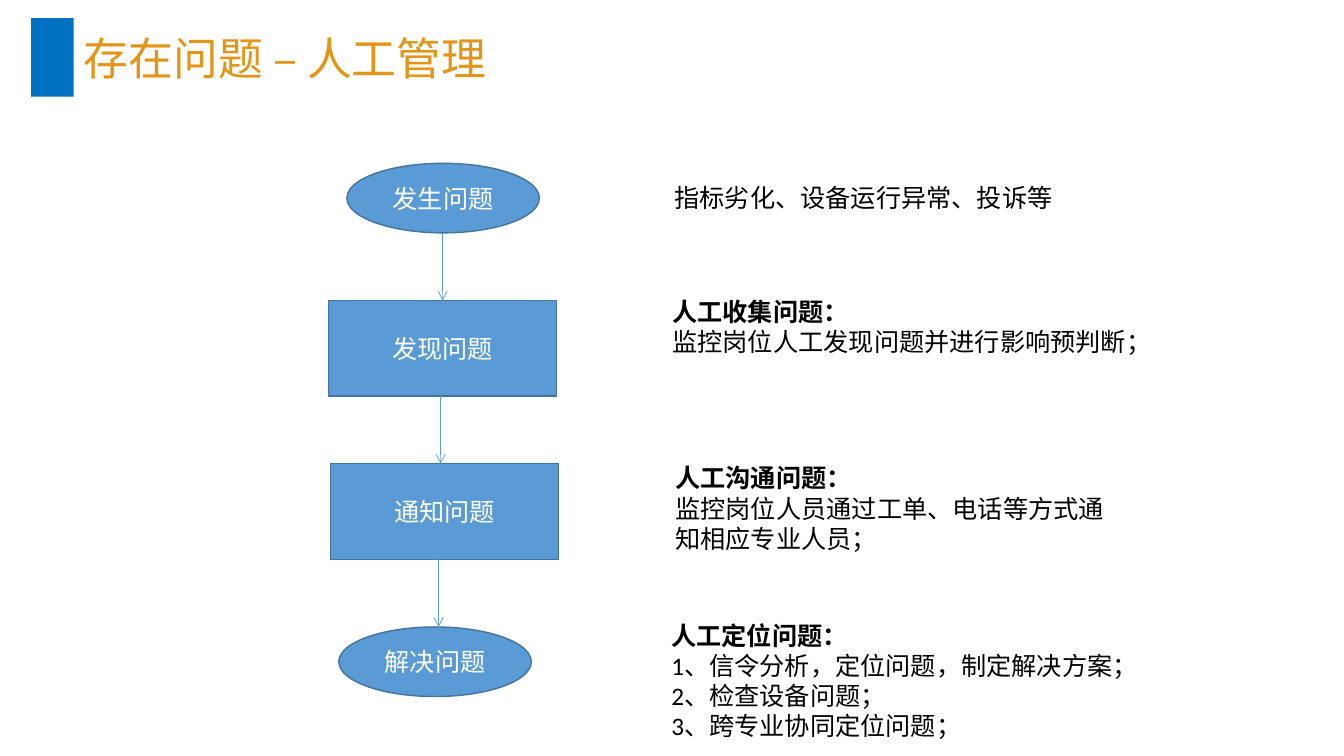
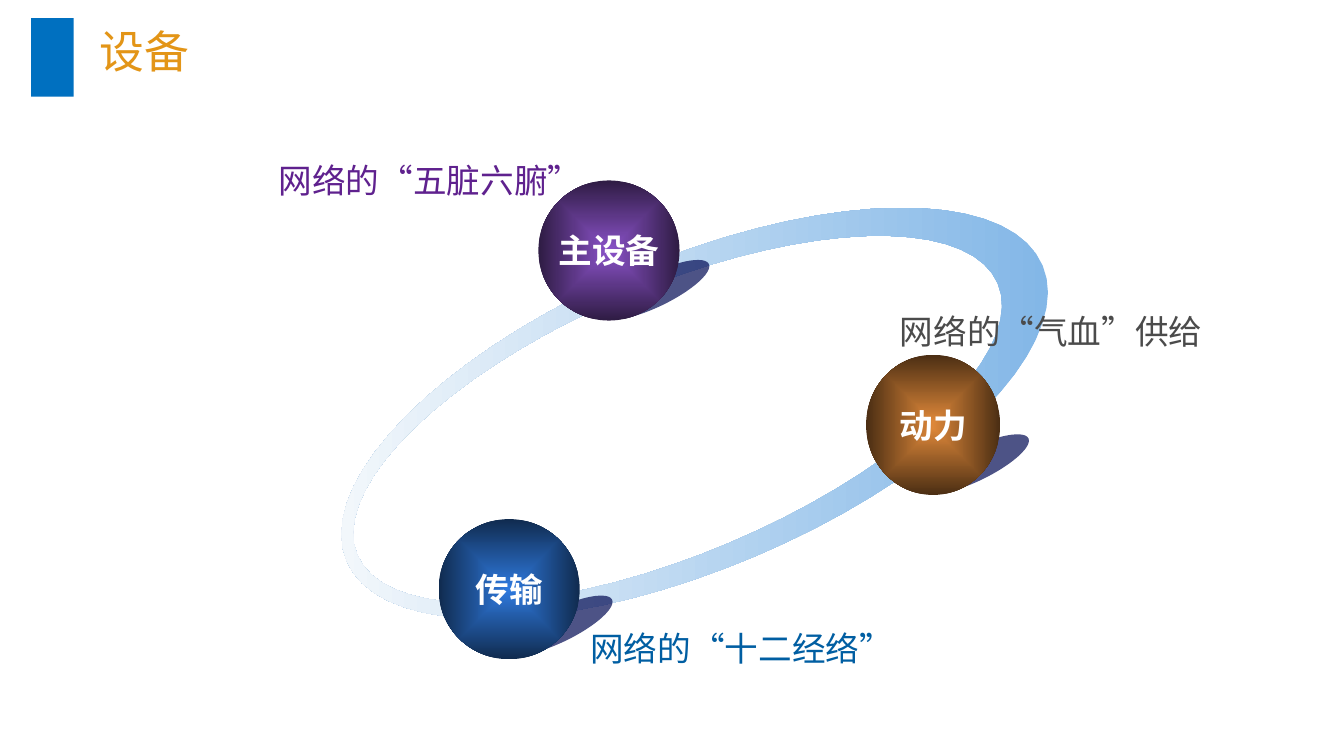
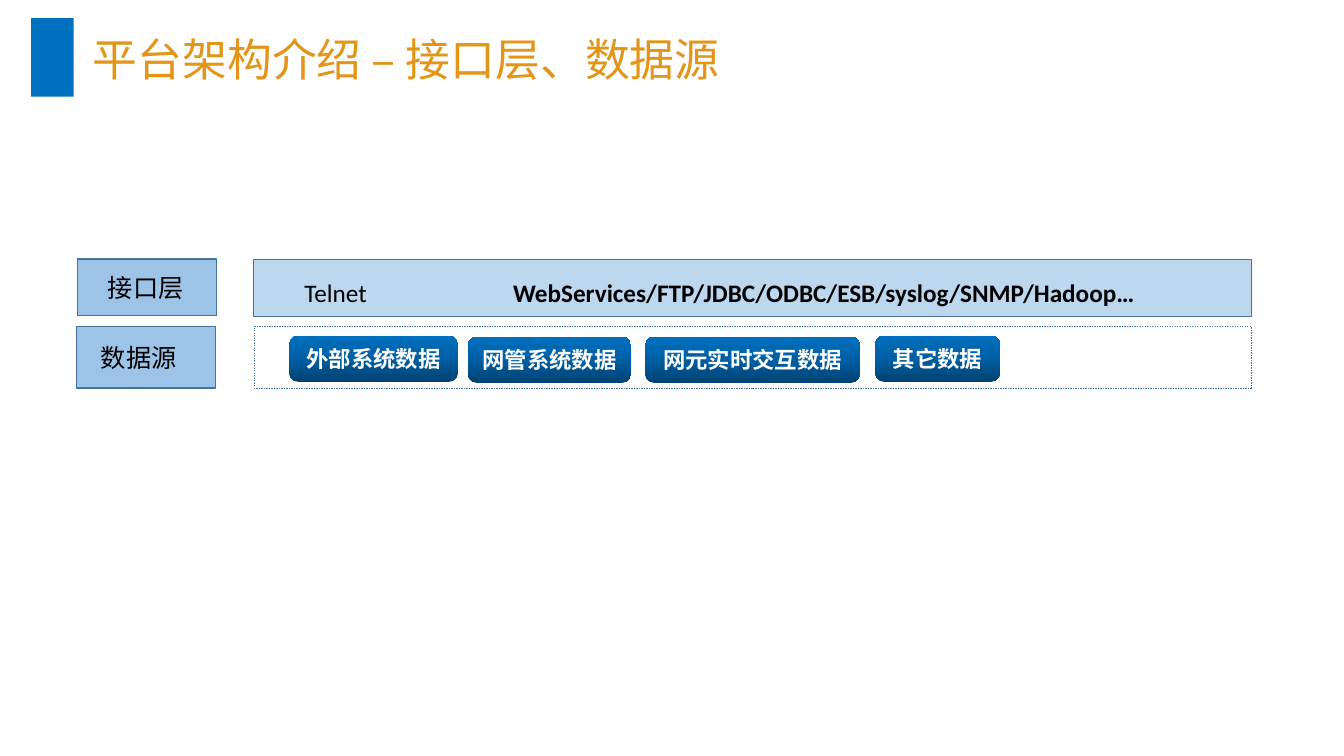
from math import cos, pi, radians, sin

from lxml import etree
from pptx import Presentation
from pptx.dml.color import RGBColor
from pptx.enum.dml import MSO_LINE
from pptx.enum.shapes import MSO_CONNECTOR, MSO_SHAPE
from pptx.enum.text import MSO_ANCHOR, MSO_AUTO_SIZE, PP_ALIGN
from pptx.oxml.ns import qn
from pptx.util import Inches, Pt

RECT, OVAL, ROUND = MSO_SHAPE.RECTANGLE, MSO_SHAPE.OVAL, MSO_SHAPE.ROUNDED_RECTANGLE
STRAIGHT, DASH = MSO_CONNECTOR.STRAIGHT, MSO_LINE.DASH
LEFT, CENTER = PP_ALIGN.LEFT, PP_ALIGN.CENTER
TOP, MIDDLE = MSO_ANCHOR.TOP, MSO_ANCHOR.MIDDLE
FIXED, GROW = MSO_AUTO_SIZE.NONE, MSO_AUTO_SIZE.SHAPE_TO_FIT_TEXT

BODY, HAN, SANS = "Calibri", "Noto Sans CJK SC", "DejaVu Sans"
BLACK = RGBColor(0x00, 0x00, 0x00)
WHITE = RGBColor(0xFF, 0xFF, 0xFF)
ICE = RGBColor(0xDE, 0xEB, 0xF7)
GOLD = RGBColor(0xE3, 0x95, 0x17)
BLUE = RGBColor(0x00, 0x70, 0xC0)
DEEP = RGBColor(0x00, 0x5E, 0xA2)
NAVY = RGBColor(0x00, 0x42, 0x72)
STEEL = RGBColor(0x5B, 0x9B, 0xD5)
EDGE = RGBColor(0x43, 0x73, 0x9E)
SKY = RGBColor(0x9D, 0xC3, 0xE6)
PALE = RGBColor(0xBD, 0xD7, 0xEE)
SHADE = RGBColor(0x02, 0x0A, 0x53)
RING = (RGBColor(0x83, 0xB7, 0xE7), RGBColor(0xF2, 0xF7, 0xFB))
VIOLET = (RGBColor(0x8A, 0x52, 0xC8), RGBColor(0x2F, 0x1C, 0x44))
AZURE = (RGBColor(0x2F, 0x7A, 0xDF), RGBColor(0x10, 0x2B, 0x4F))
AMBER = (RGBColor(0xDD, 0x87, 0x39), RGBColor(0x4B, 0x2E, 0x13))
PLUM = (RGBColor(0x43, 0x17, 0x64), RGBColor(0x5F, 0x21, 0x8E), RGBColor(0x71, 0x28, 0xA8))
GRAY = (RGBColor(0x35, 0x35, 0x35), RGBColor(0x4B, 0x4B, 0x4B), RGBColor(0x59, 0x59, 0x59))
OCEAN = (NAVY, DEEP, BLUE)


def blend(colors, angle=None):
    grad = etree.Element(qn("a:gradFill"), rotWithShape="1")
    stops = etree.SubElement(grad, qn("a:gsLst"))
    for i, color in enumerate(colors):
        stop = etree.SubElement(stops, qn("a:gs"), pos=str(100000 * i // (len(colors) - 1)))
        etree.SubElement(stop, qn("a:srgbClr"), val=str(color))
    if angle is None:
        focus = etree.SubElement(grad, qn("a:path"), path="shape")
        etree.SubElement(focus, qn("a:fillToRect"), l="50000", t="50000", r="50000", b="50000")
    else:
        etree.SubElement(grad, qn("a:lin"), ang=str(angle * 60000), scaled="0")
    return grad


def paint(fill, owner, color, angle=None, alpha=None):
    if color is None:
        fill.background()
        return
    fill.solid()
    solid = owner.find(qn("a:solidFill"))
    if not isinstance(color, RGBColor):
        owner.replace(solid, blend(color, angle))
        return
    fill.fore_color.rgb = color
    if alpha:
        etree.SubElement(solid[0], qn("a:alpha"), val=str(alpha * 1000))


def write(frame, text, size=18, font=BODY, color=BLACK, bold=False, head=False,
          align=LEFT, anchor=TOP, wrap=True, fit=FIXED, inset=(0.1, 0.05), space=None):
    frame.word_wrap, frame.auto_size, frame.vertical_anchor = wrap, fit, anchor
    frame.margin_left = frame.margin_right = Inches(inset[0])
    frame.margin_top = frame.margin_bottom = Inches(inset[1])
    for i, line in enumerate(text.split("\n")):
        para = frame.add_paragraph() if i else frame.paragraphs[0]
        para.alignment, para.line_spacing = align, space
        run = para.add_run()
        run.text = line
        run.font.size, run.font.name = Pt(size), font
        run.font.bold = bold or (head and i == 0)
        props = run.font._element
        paint(run.font.fill, props, color, 90)
        etree.SubElement(props, qn("a:ea"), typeface=font)


class Deck:
    def __init__(self):
        self.prs = Presentation()
        self.prs.slide_width, self.prs.slide_height = Inches(13.33), Inches(7.5)
        self.layout = self.prs.slide_layouts[5]
        self.slide = None

    def start(self, title, box, space=None):
        first = self.slide is None
        self.slide = self.prs.slides.add_slide(self.layout)
        if first:
            bar = self.shape(RECT, (0.31, 0.18, 0.42, 0.78), BLUE)
            self.layout.shapes._spTree.append(bar._element)
        holder = self.slide.shapes.title
        holder.left, holder.top, holder.width, holder.height = map(Inches, box)
        write(holder.text_frame, title, size=32, font=HAN, color=GOLD, space=space)

    def style(self, item, fill, angle=None, alpha=None, line=None, weight=1, dash=None):
        item.shadow.inherit = False
        paint(item.fill, item._element.spPr, fill, angle, alpha)
        if line is None:
            item.line.fill.background()
            return
        item.line.color.rgb, item.line.width = line, Pt(weight)
        if dash:
            item.line.dash_style = dash

    def shape(self, kind, box, fill=None, turn=0, **look):
        item = self.slide.shapes.add_shape(kind, *map(Inches, box))
        item.rotation = turn
        self.style(item, fill, **look)
        return item

    def text(self, box, text, **form):
        item = self.slide.shapes.add_textbox(*map(Inches, box))
        write(item.text_frame, text, fit=GROW, **form)

    def arrow(self, x, top, end):
        item = self.slide.shapes.add_connector(STRAIGHT, *map(Inches, (x, top, x, end)))
        item.line.color.rgb, item.line.width = STEEL, Pt(0.5)
        etree.SubElement(item.line._get_or_add_ln(), qn("a:tailEnd"), type="arrow")
        etree.SubElement(item._element.spPr, qn("a:effectLst"))

    def ring(self, outer, inner, tilt, colors, angle, steps=72):
        def trace(x, y, a, b, way):
            turn = radians(tilt)
            for i in range(steps + 1):
                t = way * 2 * pi * i / steps
                u, v = a * cos(t), b * sin(t)
                yield (Inches(x + u * cos(turn) - v * sin(turn)),
                       Inches(y + u * sin(turn) + v * cos(turn)))

        rim, hole = list(trace(*outer, 1)), list(trace(*inner, -1))
        form = self.slide.shapes.build_freeform(*rim[0])
        form.add_line_segments(rim[1:])
        form.move_to(*hole[0])
        form.add_line_segments(hole[1:])
        self.style(form.convert_to_shape(), colors, angle=angle)


def manual(deck):
    deck.start("存在问题 – 人工管理", (0.73, 0.25, 8.72, 0.64))
    steps = [
        (OVAL, (3.44, 1.62, 1.91, 0.69), "发生问题"),
        (RECT, (3.26, 2.98, 2.26, 0.95), "发现问题"),
        (RECT, (3.28, 4.6, 2.26, 0.95), "通知问题"),
        (OVAL, (3.36, 6.22, 1.91, 0.69), "解决问题"),
    ]
    for kind, box, label in steps:
        node = deck.shape(kind, box, STEEL, line=EDGE)
        write(node.text_frame, label, color=WHITE, align=CENTER, anchor=MIDDLE)
    for i in range(3):
        top = 2.31 + 1.62 * i
        deck.arrow(4.39 - 0.02 * i, top, top + 0.67)
    deck.text((6.59, 1.76, 4.52, 0.4), "指标劣化、设备运行异常、投诉等")
    notes = [
        ((6.57, 2.89, 5.25, 0.71), "人工收集问题：\n监控岗位人工发现问题并进行影响预判断；"),
        ((6.6, 4.54, 4.52, 1.01), "人工沟通问题：\n监控岗位人员通过工单、电话等方式通知相应专业人员；"),
        ((6.56, 6.1, 5.57, 1.31), "人工定位问题：\n1、信令分析，定位问题，制定解决方案；\n"
                                  "2、检查设备问题；\n3、跨专业协同定位问题；"),
    ]
    for box, note in notes:
        deck.text(box, note, head=True)


def devices(deck):
    deck.start("设备", (0.89, 0.25, 9.12, 0.73), space=0.9)
    deck.ring((6.89, 4.1, 3.75, 1.54), (6.72, 4.16, 3.45, 1.33), -23, RING, 180)
    balls = [
        ("主设备", (5.34, 1.79, 1.4, 1.39), VIOLET, (5.92, 2.71),
         "网络的“五脏六腑”", (2.71, 1.55), PLUM),
        ("动力", (8.59, 3.52, 1.33, 1.39), AMBER, (9.09, 4.44),
         "网络的“气血”供给", (8.87, 3.04), GRAY),
        ("传输", (4.35, 5.15, 1.4, 1.39), AZURE, (4.96, 6.04),
         "网络的“十二经络”", (5.8, 6.19), OCEAN),
    ]
    for name, box, glow, shade, remark, spot, ink in balls:
        deck.shape(OVAL, (*shade, 1.17, 0.33), SHADE, turn=334, alpha=70)
        ball = deck.shape(OVAL, box, glow)
        write(ball.text_frame, name, size=24, font=SANS, color=WHITE, bold=True,
              align=CENTER, anchor=MIDDLE, wrap=False)
        deck.text((*spot, 3.11, 0.48), remark, size=24, font=HAN, color=ink,
                  align=CENTER, anchor=MIDDLE, wrap=False, inset=(0.04, 0.04))


def layers(deck):
    deck.start("平台架构介绍 – 接口层、数据源", (0.82, 0.32, 7.33, 0.59), space=0.9)
    tags = [
        ("接口层", (0.77, 2.57, 1.38, 0.56), 0.3),
        ("数据源", (0.76, 3.24, 1.38, 0.61), 0.24),
    ]
    for name, box, indent in tags:
        tag = deck.shape(RECT, box, SKY, line=EDGE)
        write(tag.text_frame, name, font=HAN, anchor=MIDDLE, wrap=False, inset=(indent, 0.05))
    deck.shape(RECT, (2.51, 2.57, 9.9, 0.57), PALE, line=EDGE, weight=0.25)
    deck.text((2.92, 2.7, 2.02, 0.4), "Telnet")
    deck.text((4.99, 2.7, 6.62, 0.4), "WebServices/FTP/JDBC/ODBC/ESB/syslog/SNMP/Hadoop…", bold=True)
    deck.shape(RECT, (2.52, 3.24, 9.89, 0.61), line=EDGE, weight=0.25, dash=DASH)
    feeds = [
        ("外部系统数据", 2.87, 3.33, 1.67),
        ("网管系统数据", 4.64, 3.34, 1.62),
        ("网元实时交互数据", 6.4, 3.34, 2.13),
        ("其它数据", 8.68, 3.33, 1.24),
    ]
    for name, left, top, width in feeds:
        feed = deck.shape(ROUND, (left, top, width, 0.46), OCEAN, angle=270)
        feed.adjustments[0] = 0.2
        write(feed.text_frame, name, size=16, font=HAN, color=(WHITE, ICE), bold=True,
              align=CENTER, anchor=MIDDLE, wrap=False, inset=(0.04, 0.04))


def main():
    deck = Deck()
    manual(deck)
    devices(deck)
    layers(deck)
    deck.prs.save("out.pptx")


if __name__ == "__main__":
    main()
